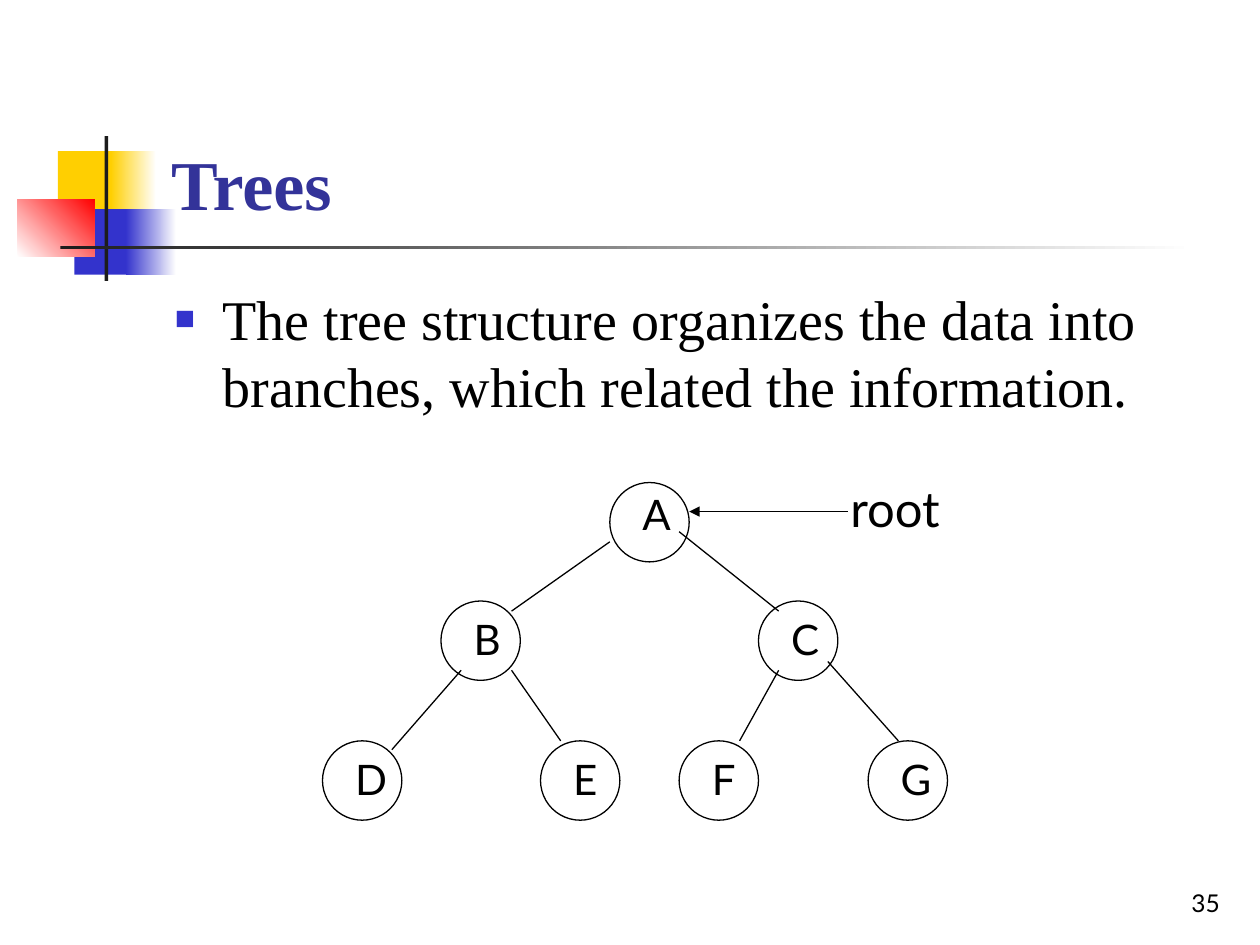
from lxml.etree import SubElement
from pptx import Presentation
from pptx.dml.color import RGBColor
from pptx.enum.shapes import MSO_CONNECTOR, MSO_SHAPE
from pptx.enum.text import MSO_ANCHOR, PP_ALIGN
from pptx.oxml.ns import qn
from pptx.util import Inches, Pt

BLACK = RGBColor(0x00, 0x00, 0x00)
WHITE = RGBColor(0xFF, 0xFF, 0xFF)
GOLD = RGBColor(0xFF, 0xCF, 0x01)
BLUE = RGBColor(0x33, 0x33, 0xCC)
RED = RGBColor(0xFF, 0x00, 0x00)
DARK = RGBColor(0x1C, 0x1C, 0x1C)
NAVY = RGBColor(0x33, 0x33, 0x99)
SERIF = "Times New Roman"
SANS = "Lato"

TITLE = "Trees"
BODY = "The tree structure organizes the data into branches, which related the information."
BARS = [
    ((0.46, 1.2, 0.48, 0.52), [GOLD], 0),
    ((0.88, 1.2, 0.36, 0.52), [GOLD, WHITE], 0),
    ((0.59, 1.66, 0.46, 0.52), [BLUE], 0),
    ((1, 1.66, 0.4, 0.52), [BLUE, WHITE], 0),
    ((0.14, 1.58, 0.61, 0.46), [WHITE, RED], 45),
    ((0.83, 1.08, 0.03, 1.15), [DARK], 0),
    ((0.48, 1.95, 9, 0.03), [DARK, WHITE], 0),
]
SIZE = 0.63
ROWS = [
    (3.83, 0, [("A", 4.84)]),
    (4.77, 0.05, [("B", 3.5), ("C", 6.02)]),
    (5.88, 0.05, [("D", 2.56), ("E", 4.29), ("F", 5.39), ("G", 6.89)]),
]
EDGES = [
    (4.84, 4.3, 4.06, 4.85),
    (5.39, 4.22, 6.18, 4.85),
    (3.66, 5.32, 3.11, 5.95),
    (4.06, 5.32, 4.45, 5.88),
    (6.18, 5.32, 5.87, 5.88),
    (6.57, 5.25, 7.13, 5.88),
]
ARROW = (6.73, 4.06, 5.47, 4.06)

deck = Presentation()
deck.slide_width, deck.slide_height = Inches(10), Inches(7.5)
slide = deck.slides.add_slide(deck.slide_layouts[6])
shapes = slide.shapes


def add_text(text, box, size, font=SANS, color=BLACK, bold=False,
             align=PP_ALIGN.LEFT, anchor=MSO_ANCHOR.TOP):
    frame = shapes.add_textbox(*map(Inches, box)).text_frame
    frame.word_wrap = True
    frame.vertical_anchor = anchor
    para = frame.paragraphs[0]
    para.alignment = align
    run = para.add_run()
    run.text = text
    run.font.name = font
    run.font.size = Pt(size)
    run.font.bold = bold
    run.font.color.rgb = color
    return para


def add_bullet(para, color, indent):
    props = para._p.get_or_add_pPr()
    props.set("marL", str(Inches(indent)))
    props.set("indent", str(-Inches(indent)))
    tint = SubElement(props, qn("a:buClr"))
    SubElement(tint, qn("a:srgbClr"), val=str(color))
    SubElement(props, qn("a:buSzPct"), val="60000")
    SubElement(props, qn("a:buFont"), typeface=SERIF)
    SubElement(props, qn("a:buChar"), char="■")


def add_bar(box, colors, angle):
    bar = shapes.add_shape(MSO_SHAPE.RECTANGLE, *map(Inches, box))
    bar.shadow.inherit = False
    bar.line.fill.background()
    if len(colors) == 1:
        bar.fill.solid()
        bar.fill.fore_color.rgb = colors[0]
        return
    bar.fill.gradient()
    bar.fill.gradient_angle = angle
    for stop, color in zip(bar.fill.gradient_stops, colors):
        stop.color.rgb = color


def add_node(name, left, top, drop):
    ring = shapes.add_shape(MSO_SHAPE.OVAL, *map(Inches, (left, top, SIZE, SIZE)))
    ring.shadow.inherit = False
    ring.fill.solid()
    ring.fill.fore_color.rgb = WHITE
    ring.line.color.rgb = BLACK
    ring.line.width = Pt(0.75)
    add_text(name, (left + 0.16, top + drop, 0.39, 0.5), 24, align=PP_ALIGN.CENTER)


def add_line(ends):
    line = shapes.add_connector(MSO_CONNECTOR.STRAIGHT, *map(Inches, ends))
    line.line.color.rgb = BLACK
    line.line.width = Pt(0.75)
    SubElement(line._element.spPr, qn("a:effectLst"))
    return line


for bar in BARS:
    add_bar(*bar)

add_text(TITLE, (1.26, 0.23, 8.52, 1.6), 40, font=SERIF, color=NAVY,
         bold=True, anchor=MSO_ANCHOR.BOTTOM)
body = add_text(BODY, (1.29, 2.21, 8.5, 4.5), 32, font=SERIF)
body.space_before = Pt(8)
add_bullet(body, BLUE, 0.38)

for top, drop, nodes in ROWS:
    for name, left in nodes:
        add_node(name, left, top, drop)
for edge in EDGES:
    add_line(edge)
arrow = add_line(ARROW)
SubElement(arrow.line._get_or_add_ln(), qn("a:tailEnd"), type="triangle")

add_text("root", (6.65, 3.75, 1.1, 0.57), 28)
add_text("35", (7.7, 6.83, 2.08, 0.5), 14, align=PP_ALIGN.RIGHT,
         anchor=MSO_ANCHOR.BOTTOM)

deck.save("out.pptx")
